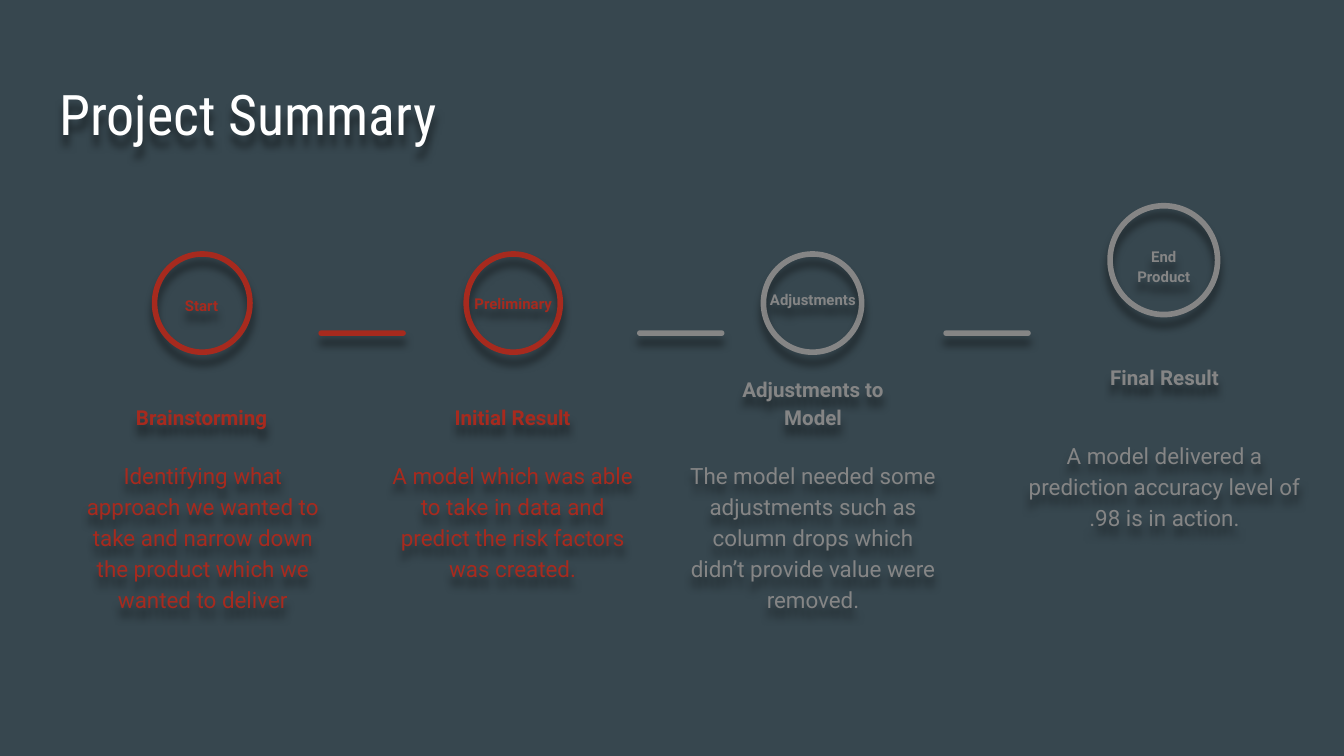
"""Build the project summary slide: four stages joined by short bars."""
from lxml import etree
from pptx import Presentation
from pptx.dml.color import RGBColor
from pptx.enum import shapes, text
from pptx.oxml import ns
from pptx.util import Pt

C = {"bg": "37474F", "title": "FFFFFF", "done": "A72A1E", "next": "858585", "shadow": "000000"}
SHADOW = (
    f'<a:effectLst xmlns:a="{ns.nsuri("a")}">'
    '<a:outerShdw blurRad="57150" dist="66040" dir="5400000" algn="bl" rotWithShape="0">'
    f'<a:srgbClr val="{C["shadow"]}"><a:alpha val="50000"/></a:srgbClr>'
    "</a:outerShdw></a:effectLst>"
)


def add_shadow(sp):
    sp._element.spPr.append(etree.fromstring(SHADOW))


def write(sp, lines, color, anchor, para, font):
    tf = sp.text_frame
    frame = {"word_wrap": True, "auto_size": text.MSO_AUTO_SIZE.NONE, "vertical_anchor": anchor}
    frame.update({f"margin_{side}": Pt(7.2) for side in ("left", "top", "right", "bottom")})
    for name, value in frame.items():
        setattr(tf, name, value)
    for i, line in enumerate(lines):
        p = tf.add_paragraph() if i else tf.paragraphs[0]
        r = p.add_run()
        r.text = line
        for name, value in para.items():
            setattr(p, name, value)
        for name, value in font.items():
            setattr(r.font, name, value)
        r.font.color.rgb = RGBColor.from_string(C[color])
    add_shadow(sp)


TOP, BOTTOM = text.MSO_ANCHOR.TOP, text.MSO_ANCHOR.BOTTOM
PARA = {"alignment": text.PP_ALIGN.CENTER, "line_spacing": 1.15}
LABEL = {"name": "Roboto", "size": Pt(8), "bold": True}
HEADING = {"name": "Roboto", "size": Pt(11), "bold": True}
BODY = {"name": "Roboto", "size": Pt(12), "bold": False}

STAGES = [
    ("done", (82.8, 136.1, 51.1, 52.6),
     ("Start", (89.3, 150.5, 37.4, 28.1)),
     (["Brainstorming"], (34.6, 198, 146.9, 39.6)),
     ("Identifying what approach we wanted to take and narrow down the product "
      "which we wanted to deliver", (33.1, 238.3, 151.2, 64.8))),
    ("done", (249.8, 136.1, 50.4, 52.6),
     ("Preliminary", (242.6, 149, 64.8, 36.7)),
     (["Initial Result"], (202.3, 198, 144.7, 39.6)),
     ("A model which was able to take in data and predict the risk factors "
      "was created.", (202.3, 238.3, 144.7, 64.8))),
    ("next", (409, 136.1, 52.6, 52.6),
     ("Adjustments", (404.6, 146.9, 61.9, 31)),
     (["Adjustments to", "Model"], (360, 198, 151.2, 39.6)),
     ("The model needed some adjustments such as column drops which didn’t "
      "provide value were removed.", (360, 238.3, 151.2, 64.8))),
    ("next", (594.7, 110.2, 57.6, 58.3),
     ("End Product", (594.7, 123.8, 57.6, 31.7)),
     (["Final Result"], (540.7, 172.1, 166.3, 43.9)),
     ("A model delivered a prediction accuracy level of .98 is in action.",
      (540.7, 227.5, 166.3, 72.7))),
]
BARS = [(170.6, "done"), (341.3, "next"), (505.4, "next")]

prs = Presentation()
prs.slide_width, prs.slide_height = Pt(720), Pt(405)
s = prs.slides.add_slide(prs.slide_layouts[5])
s.background.fill.solid()
s.background.fill.fore_color.rgb = RGBColor.from_string(C["bg"])

title = s.shapes.title
for name, value in {"left": 24.5, "top": 35.3, "width": 671, "height": 45.4}.items():
    setattr(title, name, Pt(value))
write(title, ["Project Summary"], "title", TOP, {"alignment": text.PP_ALIGN.LEFT},
      {"name": "Roboto Condensed", "size": Pt(30), "bold": False})

for color, ring, (label, label_box), (heading, heading_box), (body, body_box) in STAGES:
    group = s.shapes.add_group_shape()
    sp = group.shapes.add_shape(shapes.MSO_SHAPE.OVAL, *map(Pt, ring))
    sp.fill.background()
    sp.line.color.rgb = RGBColor.from_string(C[color])
    sp.line.width = Pt(3)
    add_shadow(sp)
    for lines, box, anchor, font in (
        ([label], label_box, TOP, LABEL),
        (heading, heading_box, BOTTOM, HEADING),
        ([body], body_box, TOP, BODY),
    ):
        write(group.shapes.add_textbox(*map(Pt, box)), lines, color, anchor, PARA, font)

for x, color in BARS:
    sp = s.shapes.add_shape(shapes.MSO_SHAPE.ROUNDED_RECTANGLE, Pt(x), Pt(177), Pt(46.8), Pt(3))
    sp.adjustments[0] = 0.5
    sp.fill.solid()
    sp.fill.fore_color.rgb = RGBColor.from_string(C[color])
    sp.line.fill.background()
    add_shadow(sp)

prs.save("out.pptx")
